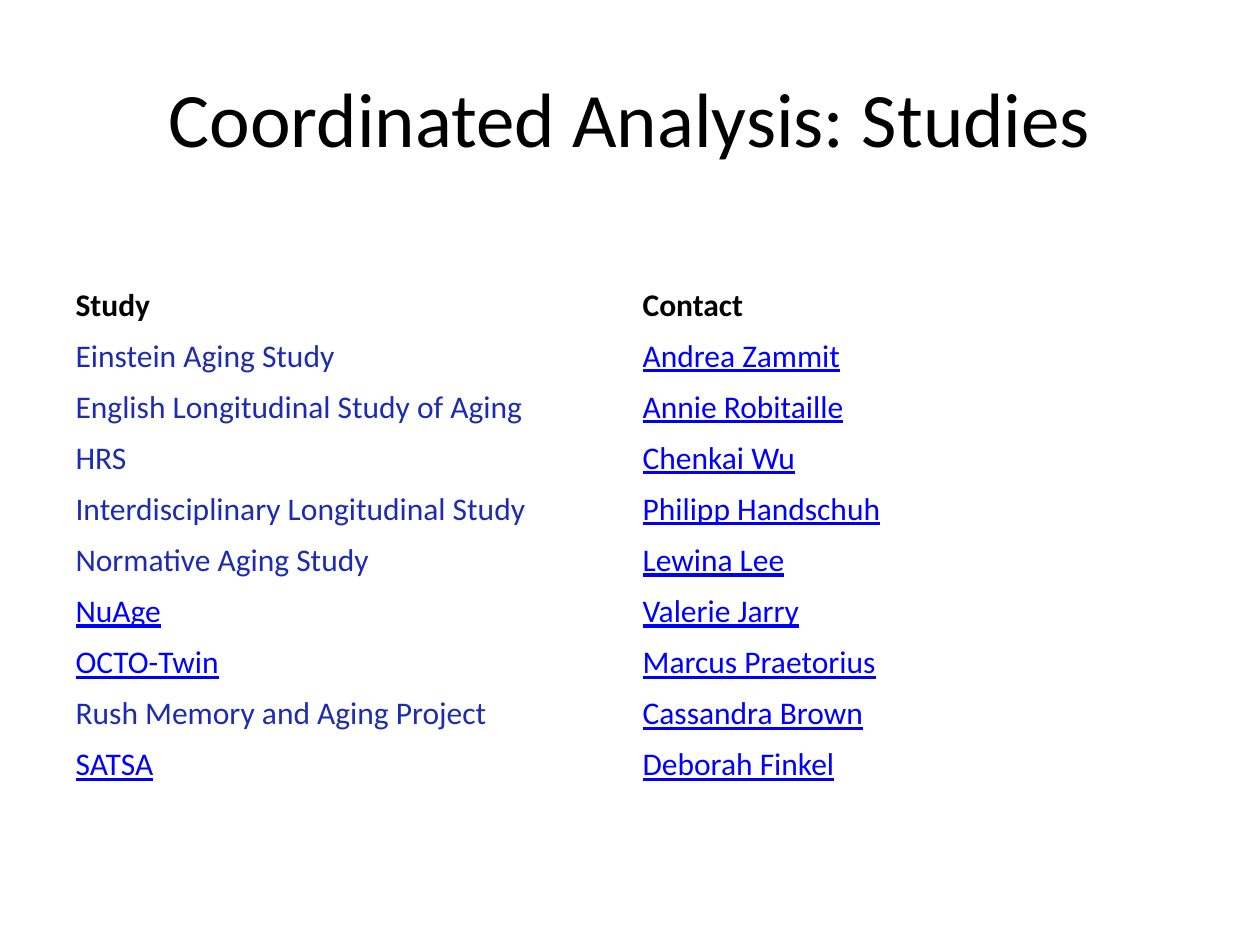
from pptx import Presentation
from pptx.dml.color import RGBColor
from pptx.enum.text import MSO_ANCHOR, PP_ALIGN
from pptx.util import Cm, Pt

COLORS = {"black": "000000", "study": "1D2BB3", "link": "0000FF", "white": "FFFFFF"}
TITLE = {"name": "Calibri", "size": Pt(44)}
HEADER = {"name": "Calibri", "size": Pt(18), "bold": True}
BODY = {"name": "Calibri", "size": Pt(18), "bold": False}
LINK = {**BODY, "underline": True}

LEFT, WIDTH = Cm(1.27), Cm(22.86)
ROW_HEIGHT = Cm(1.03)

HEADINGS = ("Study", "Contact")
STUDIES = [
    ("Einstein Aging Study", "Andrea Zammit"),
    ("English Longitudinal Study of Aging", "Annie Robitaille"),
    ("HRS", "Chenkai Wu"),
    ("Interdisciplinary Longitudinal Study", "Philipp Handschuh"),
    ("Normative Aging Study", "Lewina Lee"),
    ("NuAge", "Valerie Jarry"),
    ("OCTO-Twin", "Marcus Praetorius"),
    ("Rush Memory and Aging Project", "Cassandra Brown"),
    ("SATSA", "Deborah Finkel"),
]
LINKED_STUDIES = {"NuAge", "OCTO-Twin", "SATSA"}


def write(tf, text, style, color, align=PP_ALIGN.LEFT):
    """Put one formatted run into a text frame."""
    p = tf.paragraphs[0]
    p.alignment = align
    r = p.add_run()
    r.text = text
    for name, value in style.items():
        setattr(r.font, name, value)
    r.font.color.rgb = RGBColor.from_string(COLORS[color])


def add_title(s, text):
    """Add the centred slide title."""
    sp = s.shapes.add_textbox(LEFT, Cm(0.76), WIDTH, Cm(3.18))
    tf = sp.text_frame
    tf.word_wrap = True
    tf.vertical_anchor = MSO_ANCHOR.MIDDLE
    write(tf, text, TITLE, "black", PP_ALIGN.CENTER)


def cell_style(row, text, column):
    """Return the font style and colour name for a table cell."""
    if row == 0:
        return HEADER, "black"
    if column == 1 or text in LINKED_STUDIES:
        return LINK, "link"
    return BODY, "study"


def add_study_table(s, rows):
    """Add the table of studies and their contacts."""
    sp = s.shapes.add_table(len(rows), 2, LEFT, Cm(5.64), WIDTH, ROW_HEIGHT * len(rows))
    table = sp.table
    table.first_row = table.horz_banding = False
    for i, row in enumerate(rows):
        table.rows[i].height = ROW_HEIGHT
        for j, text in enumerate(row):
            cell = table.cell(i, j)
            cell.fill.solid()
            cell.fill.fore_color.rgb = RGBColor.from_string(COLORS["white"])
            cell.vertical_anchor = MSO_ANCHOR.MIDDLE
            write(cell.text_frame, text, *cell_style(i, text, j))


def main():
    """Build and save the slide."""
    prs = Presentation()
    prs.slide_width, prs.slide_height = Cm(25.4), Cm(19.05)
    s = prs.slides.add_slide(prs.slide_layouts[6])
    add_title(s, "Coordinated Analysis: Studies")
    add_study_table(s, [HEADINGS, *STUDIES])
    prs.save("out.pptx")


if __name__ == "__main__":
    main()
